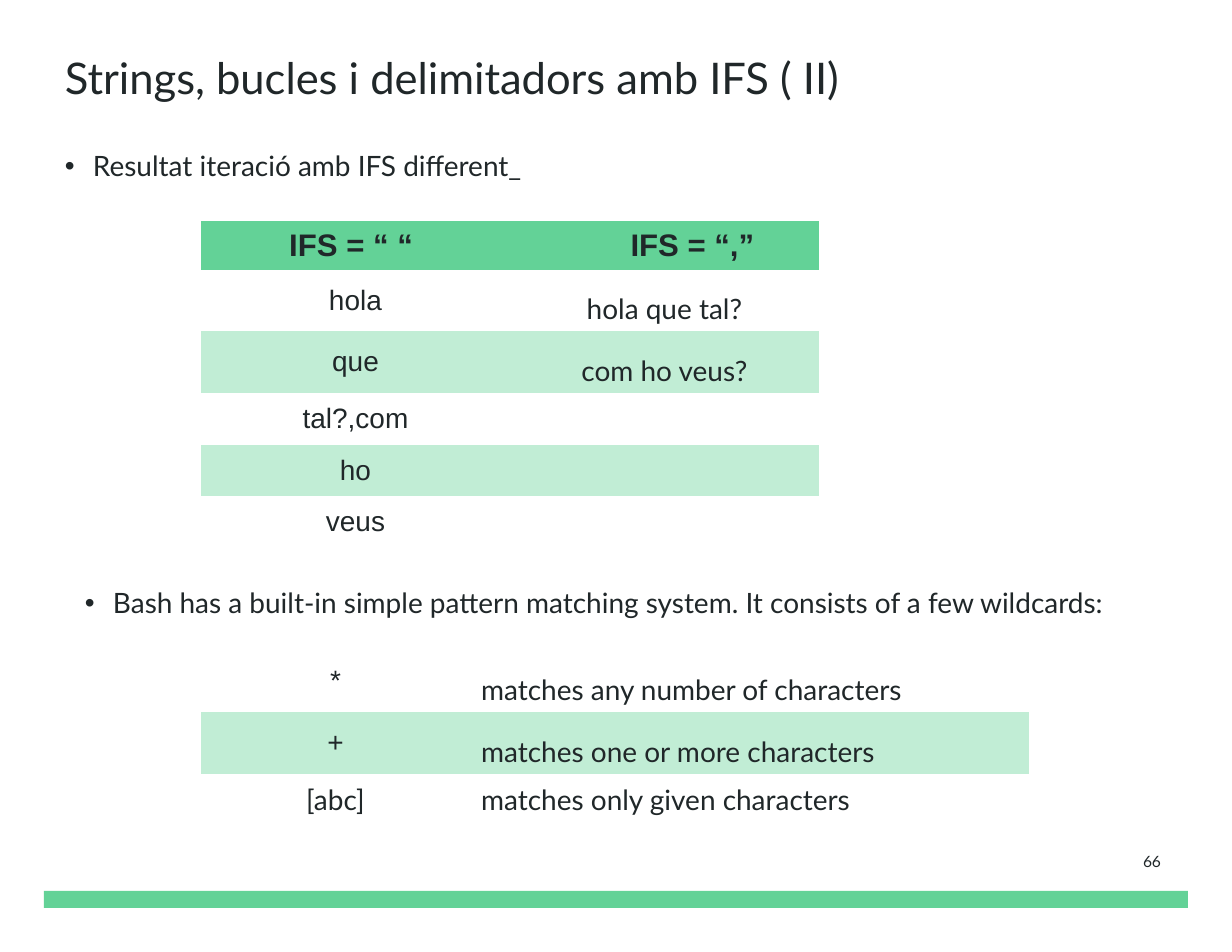
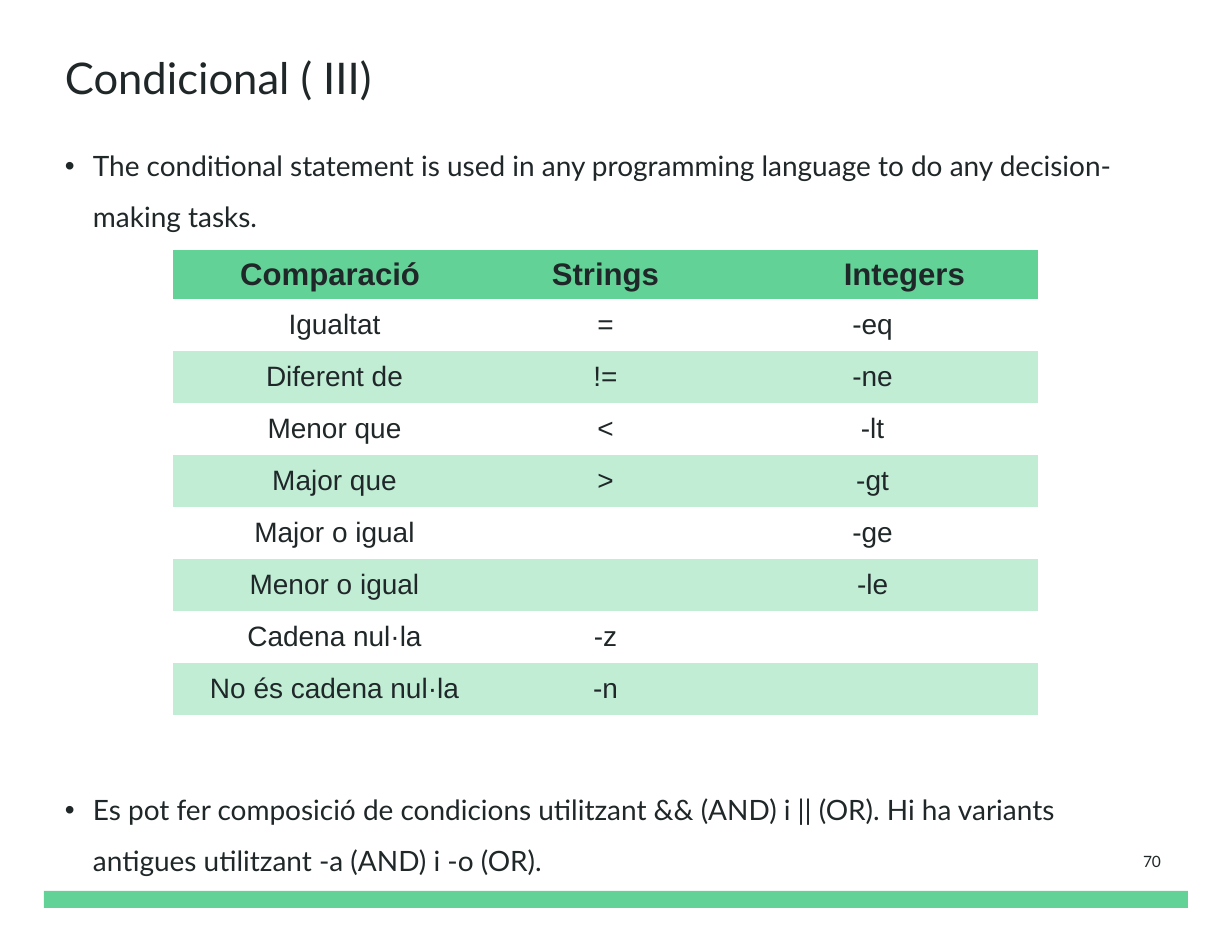
from lxml.etree import SubElement
from pptx import Presentation
from pptx.dml.color import RGBColor
from pptx.enum.shapes import MSO_SHAPE as Shape
from pptx.enum.text import MSO_ANCHOR as Anchor, PP_ALIGN as Align
from pptx.oxml.ns import qn
from pptx.util import Emu, Pt

COLORS = {"ink": "202729", "green": "63D297", "pale": "C1EDD5"}
SANS, HEAD = "Lato", "Arial"
NO_STYLE = "{2D5ABB26-0587-4C30-8999-92F81FD0307C}"
TALL = {"font": SANS, "spacing": 1.5}


def px(n):
    """Turn px at 112 to the inch into EMU."""
    return Emu(round(n * 914400 / 112))


def color(name):
    """Look up a colour by name."""
    return RGBColor.from_string(COLORS[name])


def write(tf, text, size=18, font=SANS, bold=False, align=Align.LEFT,
          spacing=1, indent=0, bullet=False):
    """Write one formatted paragraph into a text frame."""
    p = tf.paragraphs[0]
    p.alignment, p.line_spacing = align, float(spacing)
    pPr = p._p.get_or_add_pPr()
    if indent:
        pPr.set("marL", str(px(indent)))
    if bullet:
        pPr.set("indent", str(-px(indent)))
        SubElement(pPr, qn("a:buFont"), typeface="Arial")
        SubElement(pPr, qn("a:buChar"), char="•")
    r = p.add_run()
    r.text = text
    r.font.size, r.font.name, r.font.bold = Pt(size), font, bold
    r.font.color.rgb = color("ink")


class Deck:
    """Hold the shared style and the current slide."""

    def __init__(self):
        """Start a presentation of letter size."""
        self.prs = Presentation()
        self.prs.slide_width, self.prs.slide_height = px(1232), px(952)

    def slide(self, title, number):
        """Add a slide with its title, green band and page number."""
        self.s = self.prs.slides.add_slide(self.prs.slide_layouts[6])
        self.band(44, 891, 1144, 17)
        self.text(title, 65, 31, 1120, 99, anchor=Anchor.MIDDLE, size=28, spacing=0.9)
        self.text(str(number), 1104, 828, 68, 66, inset=11, anchor=Anchor.MIDDLE,
                  size=10, align=Align.RIGHT)

    def band(self, x, y, w, h):
        """Draw a solid green band."""
        sp = self.s.shapes.add_shape(Shape.RECTANGLE, px(x), px(y), px(w), px(h))
        sp.shadow.inherit = False
        sp.fill.solid()
        sp.fill.fore_color.rgb = color("green")
        sp.line.fill.background()

    def text(self, text, x, y, w, h, inset=0, anchor=Anchor.TOP, **fmt):
        """Add a wrapped text box."""
        tf = self.s.shapes.add_textbox(px(x), px(y), px(w), px(h)).text_frame
        tf.word_wrap, tf.vertical_anchor = True, anchor
        tf.margin_left = tf.margin_right = tf.margin_top = tf.margin_bottom = px(inset)
        write(tf, text, **fmt)

    def bullet(self, text, x, y, w):
        """Add a bulleted statement."""
        self.text(text, x, y, w, 66, spacing=1.5, indent=28, bullet=True)

    def table(self, x, y, widths, heights, rows, formats, header=()):
        """Add a table with striped rows and an optional green header."""
        lines = [header, *rows] if header else rows
        frame = self.s.shapes.add_table(len(lines), len(widths), px(x), px(y),
                                        px(sum(widths)), px(sum(heights)))
        t = frame.table
        t.first_row = t.horz_banding = False
        t._tbl.tblPr.find(qn("a:tableStyleId")).text = NO_STYLE
        for column, w in zip(t.columns, widths):
            column.width = px(w)
        for row, h in zip(t.rows, heights):
            row.height = px(h)
        for i, line in enumerate(lines):
            is_header = bool(header) and i == 0
            striped = (i - bool(header)) % 2 == 1
            fill = "green" if is_header else "pale" if striped else None
            for j, text in enumerate(line):
                fmt = formats[j]
                if is_header:
                    last = j == len(widths) - 1
                    fmt = dict(font=HEAD, size=20, bold=True, align=Align.CENTER,
                               indent=56 if last else 0)
                elif isinstance(text, tuple):
                    text, extra = text
                    fmt = {**fmt, **extra}
                self.cell(t.cell(i, j), text, fill, fmt)

    def cell(self, cell, text, fill, fmt):
        """Fill one table cell and write its text."""
        cell.vertical_anchor = Anchor.MIDDLE
        if fill:
            cell.fill.solid()
            cell.fill.fore_color.rgb = color(fill)
        else:
            cell.fill.background()
        if text:
            write(cell.text_frame, text, **fmt)


def main():
    """Build both slides."""
    deck = Deck()
    centred = {"font": HEAD, "align": Align.CENTER}

    deck.slide("Strings, bucles i delimitadors amb IFS ( II)", 66)
    deck.bullet("Resultat iteració amb IFS different_", 65, 132, 1129)
    deck.table(201, 221, [309, 309], [46, 61, 61, 52, 51, 51], [
        ("hola", "hola que tal?"),
        ("que", "com ho veus?"),
        ("tal?,com", ""),
        ("ho", ""),
        ("veus", ""),
    ], [centred, {**centred, **TALL}], header=("IFS = “ “ ", "IFS = “,”"))
    deck.bullet("Bash has a built-in simple pattern matching system. "
                "It consists of a few wildcards:", 85, 569, 1129)
    deck.table(201, 650, [269, 559], [62, 61, 52], [
        ("*", "matches any number of characters"),
        ("+", "matches one or more characters"),
        (("[abc]", {"font": SANS}), ("matches only given characters", {"spacing": 1})),
    ], [centred, TALL])

    deck.slide("Condicional ( III)", 70)
    deck.bullet("The conditional statement is used in any programming language "
                "to do any decision-making tasks.", 65, 132, 1047)
    deck.table(173, 250, [323, 219, 323], [46] + [52] * 8, [
        ("Igualtat", "=", "-eq "),
        ("Diferent de", "!=", "-ne "),
        ("Menor que", "<", "-lt "),
        ("Major que", ">", "-gt "),
        ("Major o igual", "", "-ge "),
        ("Menor o igual", "", "-le "),
        ("Cadena nul·la", "-z", ""),
        ("No és cadena nul·la", "-n", ""),
    ], [centred] * 3, header=("Comparació ", "Strings", "Integers"))
    deck.bullet("Es pot fer composició de condicions utilitzant && (AND) i || (OR). "
                "Hi ha variants antigues utilitzant -a (AND) i -o (OR).", 65, 776, 1047)

    deck.prs.save("out.pptx")


if __name__ == "__main__":
    main()
